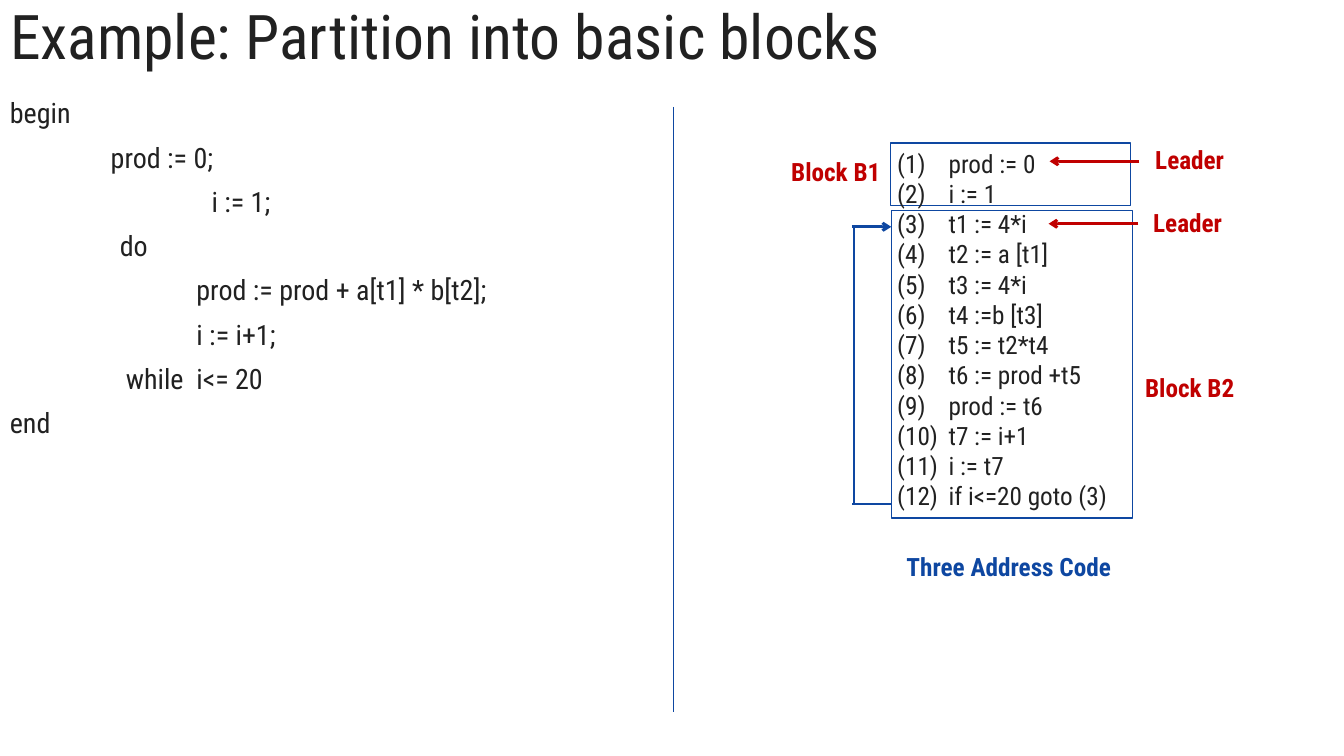
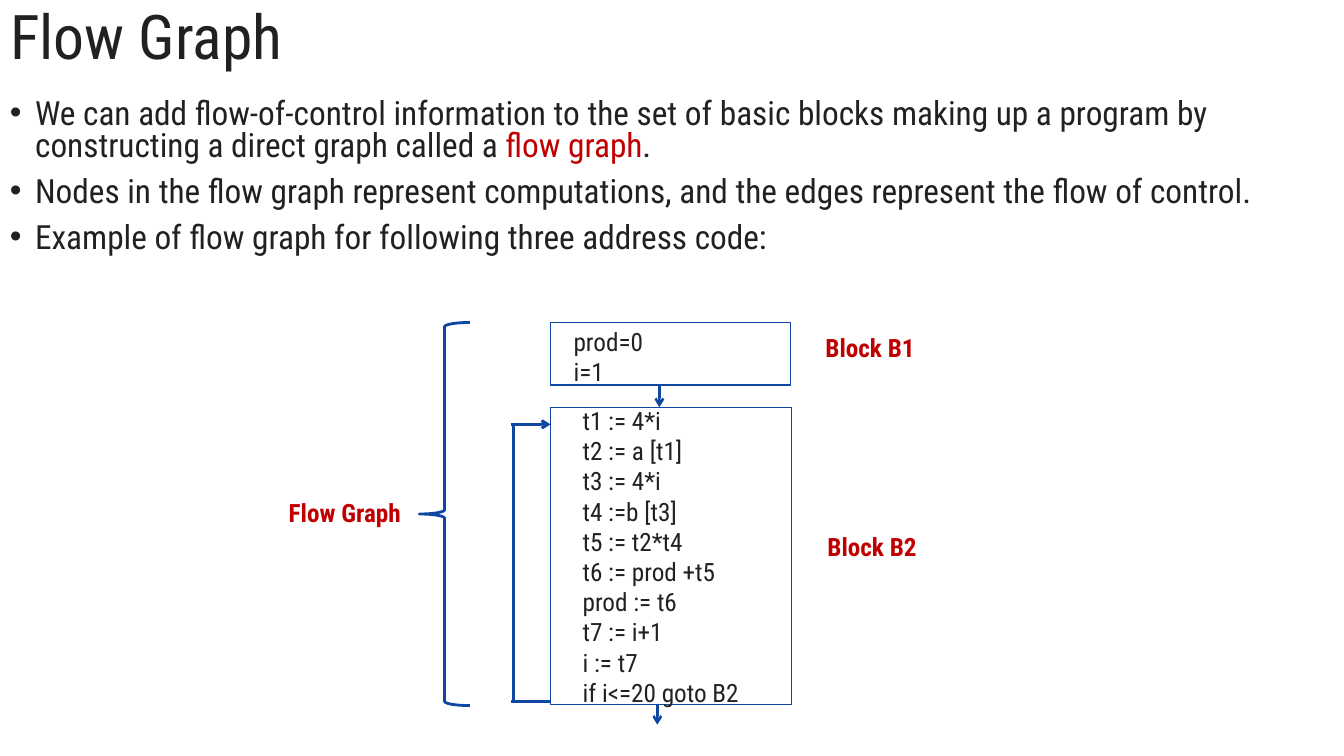
"""Builds two slides on basic blocks and flow graphs."""
from lxml import etree
from pptx import Presentation
from pptx import util as u
from pptx.dml.color import RGBColor
from pptx.enum import shapes, text
from pptx.oxml.ns import qn

PX = 9144
FONT = "Roboto Condensed"
COLORS = {"ink": "212121", "red": "C00000", "blue": "0E47A1"}
SLIDE = (1333, 750)
TITLE = (0, 0, 1333, 78)
LABEL = (160, 33)
CODE_INDENT = 17
NUMBER_HANG = 51
LOOP = {"reach": 37, "overlap": 2, "drop": 275}

SOURCE_CODE = [
    ("begin", 0, 0),
    ("prod := 0;", 100, 0),
    ("i := 1;", 200, 0),
    ("do", 109, 0),
    ("prod := prod + a[t1] * b[t2];", 185, 0),
    ("i := i+1;", 185, 0),
    ("while\ti<= 20", 185, 70),
    ("end", 0, 0),
]
SHARED_STEPS = [
    "t1 := 4*i", "t2 := a [t1]", "t3 := 4*i", "t4 :=b [t3]", "t5 := t2*t4",
    "t6 := prod +t5", "prod := t6", "t7 := i+1", "i := t7",
]
ADDRESS_CODE = ["prod := 0", "i := 1", *SHARED_STEPS, "if i<=20 goto (3)"]
NODE_CODE = [
    (["prod=0", "i=1"], (542, 319, 238, 70)),
    ([*SHARED_STEPS, "if i<=20 goto B2"], (551, 397, 292, 313)),
]
BULLETS = [
    [("We can add flow-of-control information to the set of basic blocks making up "
      "a program by constructing a direct graph called a ", "ink"),
     ("flow graph", "red"), (".", "ink")],
    [("Nodes in the flow graph represent computations, and the edges represent "
      "the flow of control.", "ink")],
    [("Example of flow graph for following three address code:", "ink")],
]

PARTITION = {
    "title": "Example: Partition into basic blocks",
    "blocks": [(883, 142, 238, 62), (884, 209, 239, 305)],
    "labels": [("Leader", 1100, 142), ("Leader", 1098, 204),
               ("Block B1", 749, 154), ("Block B2", 1100, 368)],
    "arrows": [((1130, 160), (1041, 160), "red", 2),
               ((1129, 222), (1040, 222), "red", 2)],
    "loop": (884, 225),
}
FLOW = {
    "title": "Flow Graph",
    "blocks": [(546, 320, 238, 62), (546, 404, 239, 295)],
    "labels": [("Block B1", 783, 328), ("Block B2", 785, 526),
               ("Flow Graph", 262, 492)],
    "arrows": [((654, 383), (654, 404), "blue", 1.75),
               ((652, 698), (652, 719), "blue", 1.75)],
    "loop": (546, 421),
}


def px(*lengths):
    return [u.Emu(length * PX) for length in lengths]


def rgb(name):
    return RGBColor.from_string(COLORS[name])


def style(para, size, color="ink", bold=False):
    for span in para.runs:
        span.font.name = FONT
        span.font.size = u.Pt(size)
        span.font.bold = bold
        span.font.color.rgb = rgb(color)


def indent(para, left, hang=0):
    props = para._p.get_or_add_pPr()
    props.set("marL", str(left * PX))
    props.set("indent", str(-hang * PX))
    return props


def add_box(page, area, anchor=text.MSO_ANCHOR.TOP):
    frame = page.shapes.add_textbox(*px(*area)).text_frame
    frame.word_wrap = True
    frame.vertical_anchor = anchor
    return frame


def add_paras(frame, count):
    return [frame.paragraphs[0]] + [frame.add_paragraph() for _ in range(count - 1)]


def add_code(page, lines, area, left, hang=0):
    frame = add_box(page, area)
    for para, line in zip(add_paras(frame, len(lines)), lines):
        para.text = line
        indent(para, left, hang)
        style(para, 18)


def add_label(page, words, area, color="red"):
    para = add_box(page, area, text.MSO_ANCHOR.MIDDLE).paragraphs[0]
    para.text = words
    para.alignment = text.PP_ALIGN.CENTER
    style(para, 18, color, bold=True)


def add_line(page, start, end, color="blue", width=2, arrow=False):
    line = page.shapes.add_connector(
        shapes.MSO_CONNECTOR.STRAIGHT, *px(*start, *end))
    line.line.color.rgb = rgb(color)
    line.line.width = u.Pt(width)
    if arrow:
        outline = line.line._get_or_add_ln()
        etree.SubElement(outline, qn("a:tailEnd"), type="arrow")
    etree.SubElement(line._element.spPr, qn("a:effectLst"))


def add_outline(page, kind, area, width):
    shape = page.shapes.add_shape(kind, *px(*area))
    shape.shadow.inherit = False
    shape.fill.background()
    shape.line.color.rgb = rgb("blue")
    shape.line.width = u.Pt(width)


def add_loop(page, right, top):
    spine, bottom = right - LOOP["reach"], top + LOOP["drop"]
    left = spine - LOOP["overlap"]
    add_line(page, (right, bottom), (left, bottom))
    add_line(page, (spine, top), (spine, bottom))
    add_line(page, (left, top), (right, top), arrow=True)


def add_page(deck, content):
    page = deck.slides.add_slide(deck.slide_layouts[5])
    title = page.shapes.title
    title.left, title.top, title.width, title.height = px(*TITLE)
    frame = title.text_frame
    frame.text = content["title"]
    frame.auto_size = text.MSO_AUTO_SIZE.NONE
    frame.vertical_anchor = text.MSO_ANCHOR.MIDDLE
    para = frame.paragraphs[0]
    para.alignment = text.PP_ALIGN.LEFT
    para.line_spacing = 0.9
    style(para, 44)
    for area in content["blocks"]:
        add_outline(page, shapes.MSO_SHAPE.RECTANGLE, area, 1)
    for words, left, top in content["labels"]:
        add_label(page, words, (left, top, *LABEL))
    for start, end, color, width in content["arrows"]:
        add_line(page, start, end, color, width, arrow=True)
    add_loop(page, *content["loop"])
    return page


def add_partition(deck):
    page = add_page(deck, PARTITION)
    frame = add_box(page, (0, 94, 614, 611))
    for para, (line, left, hang) in zip(
            add_paras(frame, len(SOURCE_CODE)), SOURCE_CODE):
        para.text = line
        para.line_spacing = 0.9
        para.space_before = u.Pt(10)
        indent(para, left, hang)
        style(para, 20)
    steps = [f"({number})\t{step}" for number, step in enumerate(ADDRESS_CODE, 1)]
    add_code(page, steps, (880, 142, 292, 400), NUMBER_HANG, NUMBER_HANG)
    add_label(page, "Three Address Code", (884, 537, 233, 50), "blue")
    add_line(page, (668, 106), (668, 706), width=0.5)


def add_flow(deck):
    page = add_page(deck, FLOW)
    frame = add_box(page, (0, 94, 1305, 182))
    for para, spans in zip(add_paras(frame, len(BULLETS)), BULLETS):
        para.line_spacing = 0.8
        para.space_before = u.Pt(10)
        props = indent(para, 25, 25)
        etree.SubElement(props, qn("a:buFont"), typeface="Arial")
        etree.SubElement(props, qn("a:buChar"), char="•")
        for words, _ in spans:
            para.add_run().text = words
        style(para, 23.8)
        for span, (_, color) in zip(para.runs, spans):
            span.font.color.rgb = rgb(color)
    for lines, area in NODE_CODE:
        add_code(page, lines, area, CODE_INDENT)
    add_outline(page, shapes.MSO_SHAPE.LEFT_BRACE, (416, 320, 50, 380), 2)


def main():
    deck = Presentation()
    deck.slide_width, deck.slide_height = px(*SLIDE)
    add_partition(deck)
    add_flow(deck)
    deck.save("out.pptx")


if __name__ == "__main__":
    main()
